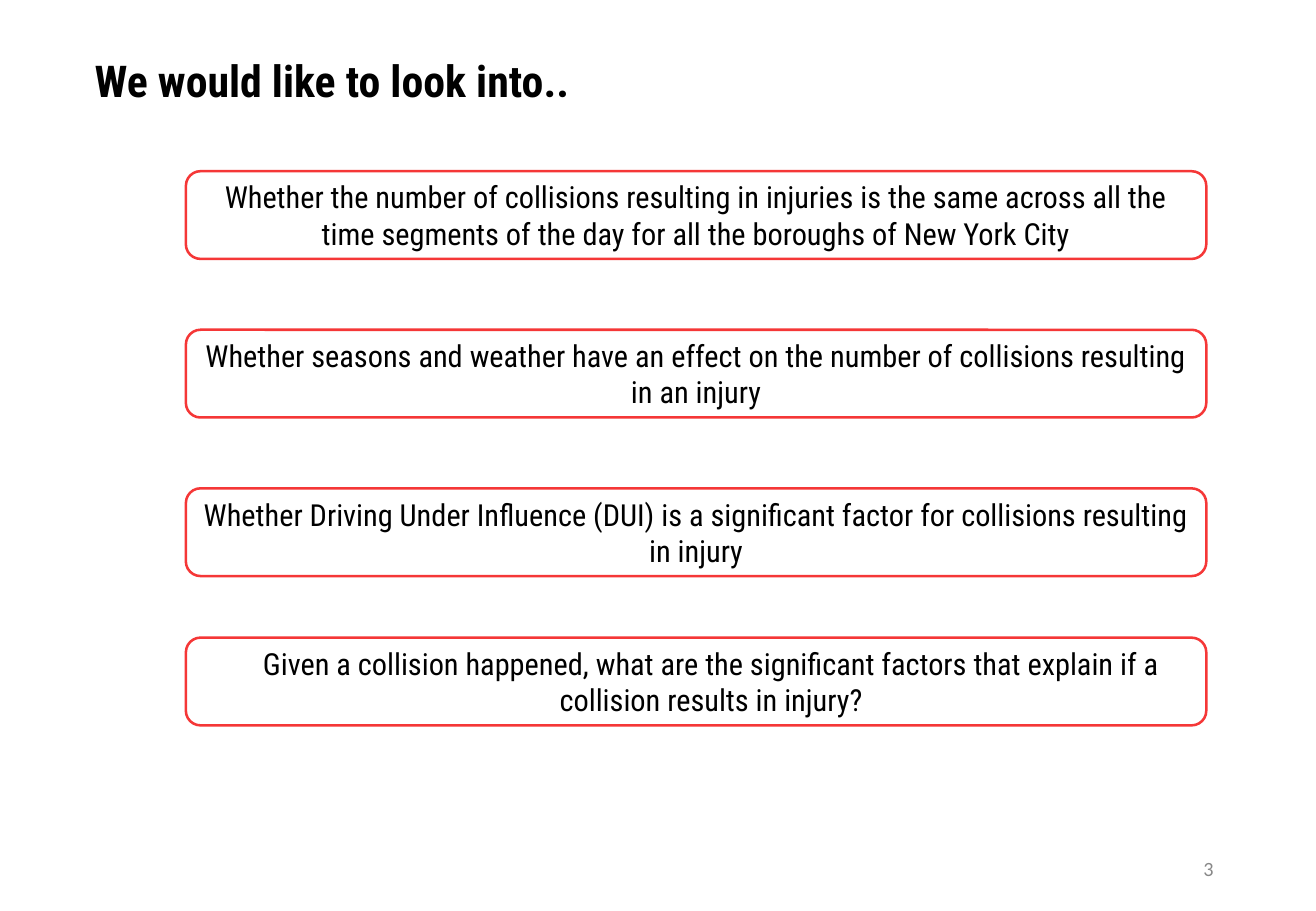
from dataclasses import dataclass

from pptx import Presentation
from pptx import util as u
from pptx.dml import color
from pptx.enum import shapes, text


@dataclass(frozen=True)
class Theme:
    black: color.RGBColor = color.RGBColor(0x00, 0x00, 0x00)
    white: color.RGBColor = color.RGBColor(0xFF, 0xFF, 0xFF)
    red: color.RGBColor = color.RGBColor(0xF5, 0x37, 0x37)
    grey: color.RGBColor = color.RGBColor(0x88, 0x88, 0x88)
    main_font: str = "Roboto Condensed"
    number_font: str = "Calibri"
    title_size: int = 26
    question_size: int = 18
    number_size: int = 12


theme = Theme()


def write(box, words, anchor, align, font, size, ink):
    """Fill a box with one paragraph in one font and return it."""
    frame = box.text_frame
    frame.word_wrap = True
    frame.vertical_anchor = anchor
    para = frame.paragraphs[0]
    para.text = words
    para.alignment = align
    para.font.name = font
    para.font.size = u.Pt(size)
    para.font.color.rgb = ink
    return para


deck = Presentation()
deck.slide_width = u.Pt(780)
deck.slide_height = u.Pt(540)
page = deck.slides.add_slide(deck.slide_layouts[6])

# Page number
number_box = page.shapes.add_textbox(u.Pt(550.8), u.Pt(500.4), u.Pt(175.7), u.Pt(28.8))
write(number_box, "3", text.MSO_ANCHOR.MIDDLE, text.PP_ALIGN.RIGHT,
      theme.number_font, theme.number_size, theme.grey)

# Title
title_box = page.shapes.add_textbox(u.Pt(49), u.Pt(9.4), u.Pt(692.6), u.Pt(57.6))
title = write(title_box, "We would like to look into..", text.MSO_ANCHOR.BOTTOM,
              text.PP_ALIGN.LEFT, theme.main_font, theme.title_size, theme.black)
title.font.bold = True
title.line_spacing = 0.9

# Research questions: top edge, left indent, wording
questions = [
    (101.5, 0, "Whether the number of collisions resulting in injuries is the same across "
               "all the time segments of the day for all the boroughs of New York City"),
    (195.5, 0, "Whether seasons and weather have an effect on the number of collisions "
               "resulting in an injury"),
    (289.5, 0, "Whether Driving Under Influence (DUI) is a significant factor for "
               "collisions resulting in injury"),
    (378, 18, "Given a collision happened, what are the significant factors that explain "
              "if a collision results in injury?"),
]
for top, indent, question in questions:
    box = page.shapes.add_shape(shapes.MSO_SHAPE.ROUNDED_RECTANGLE,
                                u.Pt(110.2), u.Pt(top), u.Pt(604.8), u.Pt(52))
    box.shadow.inherit = False
    box.fill.solid()
    box.fill.fore_color.rgb = theme.white
    box.line.color.rgb = theme.red
    box.line.width = u.Pt(1.5)
    para = write(box, question, text.MSO_ANCHOR.MIDDLE, text.PP_ALIGN.CENTER,
                 theme.main_font, theme.question_size, theme.black)
    if indent:
        para._p.get_or_add_pPr().set("marL", str(u.Pt(indent)))

deck.save("out.pptx")
